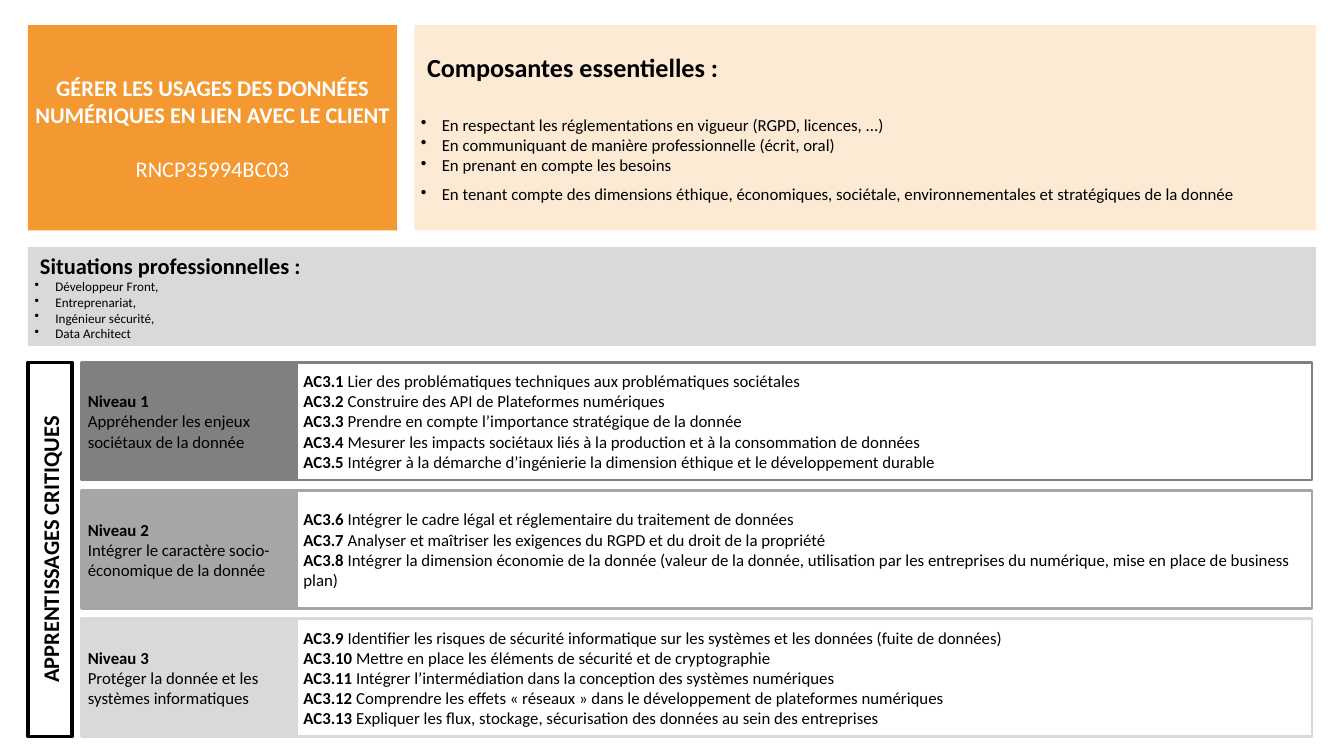
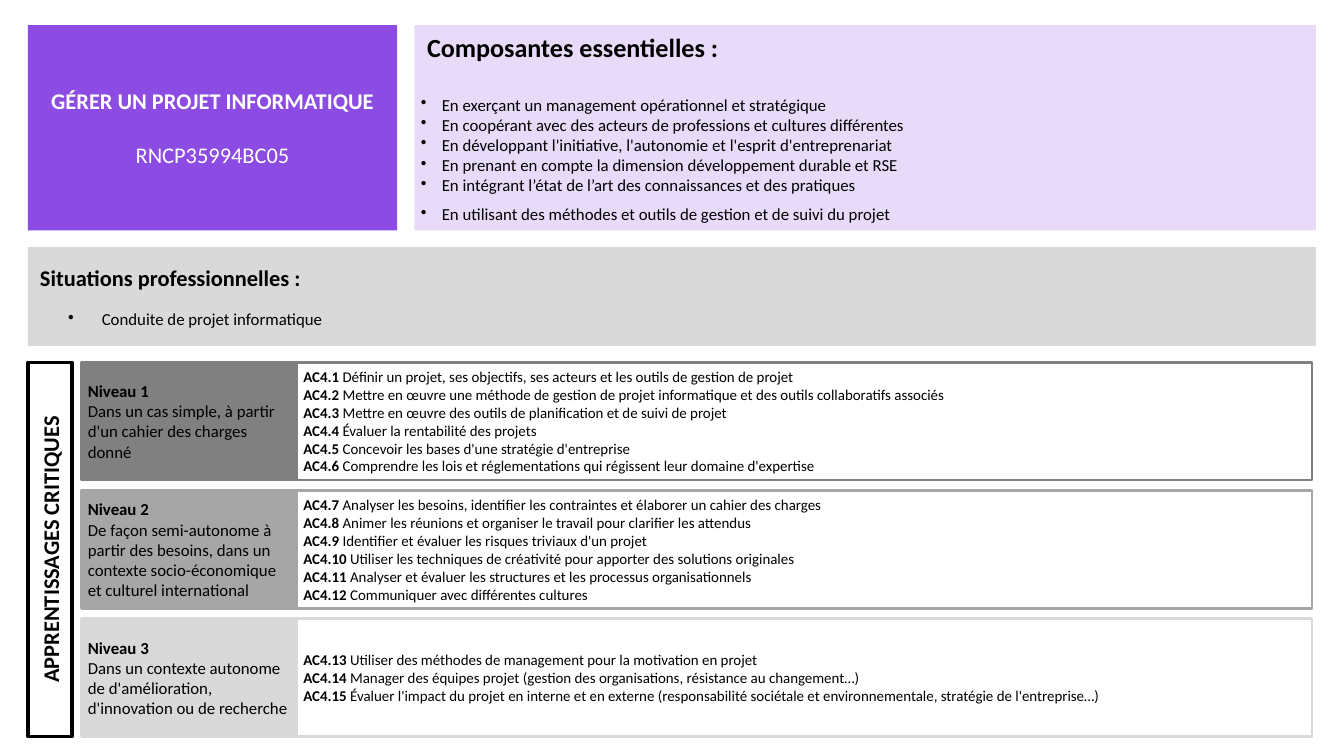
from dataclasses import dataclass

from lxml import etree
from pptx import Presentation
from pptx.dml.color import RGBColor
from pptx.enum.shapes import MSO_SHAPE
from pptx.enum.text import MSO_ANCHOR, PP_ALIGN
from pptx.oxml.ns import qn
from pptx.util import Emu, Inches, Pt

RECTANGLE = MSO_SHAPE.RECTANGLE
MIDDLE = MSO_ANCHOR.MIDDLE
LEFT, CENTER = PP_ALIGN.LEFT, PP_ALIGN.CENTER

FONT = "Calibri"
BLACK, WHITE, PALE_GREY = "000000", "FFFFFF", "D9D9D9"
LEVEL_GREYS = ["808080", "A6A6A6", PALE_GREY]
COLUMNS, ROWS = 48, 30
LINE_HEIGHT = 1.22
LEVEL_TOP, LEVEL_HEIGHT, LEVEL_STEP = 14.38, 4.67, 5.09
LABEL_WIDTH = 1.58


@dataclass
class Line:
    text: str
    size: float = 18
    lead: str = ""
    bold: bool = False
    color: str = BLACK
    align: int = LEFT
    margin: float = 0
    hanging: float = 0
    level: int = 0
    before: float = 0
    after: float = 0


def rgb(value):
    return RGBColor.from_string(value)


def bullets(texts, size=18, gap=0):
    lines = [Line(text, size, margin=0.31, hanging=0.31) for text in texts]
    lines[0].before = gap
    return lines


class Sheet:
    def __init__(self, deck):
        self.deck = deck
        self.column = deck.slide_width / COLUMNS
        self.row = deck.slide_height / ROWS
        self.page = None

    def new_page(self):
        self.page = self.deck.slides.add_slide(self.deck.slide_layouts[6])

    def panel(self, left, top, width, height, fill, lines, border=None,
              border_width=3, opacity=None, upright=False):
        x, y = left * self.column, top * self.row
        w, h = width * self.column, height * self.row
        if upright:
            x, y, w, h = x + (w - h) / 2, y + (h - w) / 2, h, w
        box = self.page.shapes.add_shape(
            RECTANGLE, *(Emu(round(length)) for length in (x, y, w, h)))
        box.shadow.inherit = False
        box.rotation = 270 if upright else 0
        box.fill.solid()
        box.fill.fore_color.rgb = rgb(fill)
        if opacity:
            color = box.element.spPr.find(qn("a:solidFill")).find(qn("a:srgbClr"))
            etree.SubElement(color, qn("a:alpha"), val=str(opacity * 1000))
        if border:
            box.line.color.rgb = rgb(border)
            box.line.width = Pt(border_width)
        else:
            box.line.fill.background()
        self.set_lines(box.text_frame, lines)

    def set_lines(self, frame, lines):
        frame.word_wrap = True
        frame.vertical_anchor = MIDDLE
        frame.text = "\n".join(line.text for line in lines)
        for para, line in zip(frame.paragraphs, lines):
            self.style_line(para, line)

    def style_line(self, para, line):
        para.alignment = line.align
        para.level = line.level
        properties = para._p.get_or_add_pPr()
        properties.set("marL", str(Inches(line.margin)))
        properties.set("indent", str(-Inches(line.hanging)))
        if line.hanging:
            etree.SubElement(properties, qn("a:buChar"), char="•")
        para.space_before = Pt(line.before)
        para.space_after = Pt(line.after)
        if line.lead:
            para.text = line.lead + " "
            para.add_run().text = line.text
        for index, span in enumerate(para.runs):
            span.font.name = FONT
            span.font.size = Pt(line.size)
            span.font.bold = line.bold or bool(line.lead and index == 0)
            span.font.color.rgb = rgb(line.color)

    def skill_title(self, title, code, color):
        self.panel(1, 1, 13.18, 8.14, color, [
            Line(title, 24, bold=True, color=WHITE, align=CENTER),
            Line(code, 24, color=WHITE, align=CENTER, before=24 * LINE_HEIGHT)])

    def components(self, texts, color):
        items = bullets(texts, gap=28 * LINE_HEIGHT)
        items[-1].before, items[-1].after = 9.5, 2.5
        heading = Line("Composantes essentielles :", 28, bold=True, margin=0.09)
        self.panel(14.8, 1, 32.2, 8.14, color, [heading, *items], opacity=20)

    def situations(self, items):
        heading = Line("Situations professionnelles :", 24, bold=True, margin=0.08)
        self.panel(1, 9.81, 46, 3.92, PALE_GREY, [heading, *items])

    def levels(self, levels, prefix, size):
        tops = [LEVEL_TOP + LEVEL_STEP * index for index in range(len(levels))]
        number = 0
        for top, grey, (_, outcomes) in zip(tops, LEVEL_GREYS, levels):
            lines = [Line(text, size, lead=f"{prefix}.{number + index}")
                     for index, text in enumerate(outcomes, 1)]
            number += len(outcomes)
            self.panel(10.6, top, 36.26, LEVEL_HEIGHT, WHITE, lines, grey)
        self.panel(1, LEVEL_TOP, LABEL_WIDTH, tops[-1] + LEVEL_HEIGHT - LEVEL_TOP,
                   WHITE, [Line("APPRENTISSAGES CRITIQUES", 24, bold=True, align=CENTER)],
                   BLACK, 3.75, upright=True)
        for index, (top, grey, (goal, _)) in enumerate(zip(tops, LEVEL_GREYS, levels), 1):
            lines = [Line(f"Niveau {index}", bold=True), Line(goal)]
            self.panel(2.9, top, 7.7, LEVEL_HEIGHT, grey, lines, grey)


SKILLS = [
    {
        "title": "GÉRER LES USAGES DES DONNÉES NUMÉRIQUES EN LIEN AVEC LE CLIENT",
        "code": "RNCP35994BC03",
        "color": "F49831",
        "components": [
            "En respectant les réglementations en vigueur (RGPD, licences, ...)",
            "En communiquant de manière professionnelle (écrit, oral)",
            "En prenant en compte les besoins",
            "En tenant compte des dimensions éthique, économiques, sociétale, "
            "environnementales et stratégiques de la donnée",
        ],
        "situations": bullets(["Développeur Front,", "Entreprenariat,",
                               "Ingénieur sécurité,", "Data Architect"], 14),
        "prefix": "AC3",
        "size": 18,
        "levels": [
            ("Appréhender les enjeux sociétaux de la donnée", [
                "Lier des problématiques techniques aux problématiques sociétales",
                "Construire des API de Plateformes numériques",
                "Prendre en compte l’importance stratégique de la donnée",
                "Mesurer les impacts sociétaux liés à la production et à la "
                "consommation de données",
                "Intégrer à la démarche d’ingénierie la dimension éthique et le "
                "développement durable",
            ]),
            ("Intégrer le caractère socio-économique de la donnée", [
                "Intégrer le cadre légal et réglementaire du traitement de données",
                "Analyser et maîtriser les exigences du RGPD et du droit de la propriété",
                "Intégrer la dimension économie de la donnée (valeur de la donnée, "
                "utilisation par les entreprises du numérique, mise en place de "
                "business plan)",
            ]),
            ("Protéger la donnée et les systèmes informatiques", [
                "Identifier les risques de sécurité informatique sur les systèmes et "
                "les données (fuite de données)",
                "Mettre en place les éléments de sécurité et de cryptographie",
                "Intégrer l’intermédiation dans la conception des systèmes numériques",
                "Comprendre les effets « réseaux » dans le développement de "
                "plateformes numériques",
                "Expliquer les flux, stockage, sécurisation des données au sein des "
                "entreprises",
            ]),
        ],
    },
    {
        "title": "GÉRER UN PROJET INFORMATIQUE",
        "code": "RNCP35994BC05",
        "color": "8C4BE2",
        "components": [
            "En exerçant un management opérationnel et stratégique",
            "En coopérant avec des acteurs de professions et cultures différentes",
            "En développant l'initiative, l'autonomie et l'esprit d'entreprenariat",
            "En prenant en compte la dimension développement durable et RSE",
            "En intégrant l’état de l’art des connaissances et des pratiques",
            "En utilisant des méthodes et outils de gestion et de suivi du projet",
        ],
        "situations": [Line("Conduite de projet informatique", margin=1, hanging=0.5,
                            level=1, before=16 * LINE_HEIGHT)],
        "prefix": "AC4",
        "size": 16,
        "levels": [
            ("Dans un cas simple, à partir d'un cahier des charges donné", [
                "Définir un projet, ses objectifs, ses acteurs et les outils de "
                "gestion de projet",
                "Mettre en œuvre une méthode de gestion de projet informatique et "
                "des outils collaboratifs associés",
                "Mettre en œuvre des outils de planification et de suivi de projet",
                "Évaluer la rentabilité des projets",
                "Concevoir les bases d'une stratégie d'entreprise",
                "Comprendre les lois et réglementations qui régissent leur domaine "
                "d'expertise",
            ]),
            ("De façon semi-autonome à partir des besoins, dans un contexte "
             "socio-économique et culturel international", [
                 "Analyser les besoins, identifier les contraintes et élaborer un "
                 "cahier des charges",
                 "Animer les réunions et organiser le travail pour clarifier les attendus",
                 "Identifier et évaluer les risques triviaux d'un projet",
                 "Utiliser les techniques de créativité pour apporter des solutions "
                 "originales",
                 "Analyser et évaluer les structures et les processus organisationnels",
                 "Communiquer avec différentes cultures",
             ]),
            ("Dans un contexte autonome de d'amélioration, d'innovation ou de recherche", [
                "Utiliser des méthodes de management pour la motivation en projet",
                "Manager des équipes projet (gestion des organisations, résistance au "
                "changement…)",
                "Évaluer l'impact du projet en interne et en externe (responsabilité "
                "sociétale et environnementale, stratégie de l'entreprise…)",
            ]),
        ],
    },
]


def main():
    deck = Presentation()
    deck.slide_width, deck.slide_height = Inches(20), Inches(11.25)
    sheet = Sheet(deck)
    for skill in SKILLS:
        sheet.new_page()
        sheet.skill_title(skill["title"], skill["code"], skill["color"])
        sheet.components(skill["components"], skill["color"])
        sheet.situations(skill["situations"])
        sheet.levels(skill["levels"], skill["prefix"], skill["size"])
    deck.save("out.pptx")


if __name__ == "__main__":
    main()
